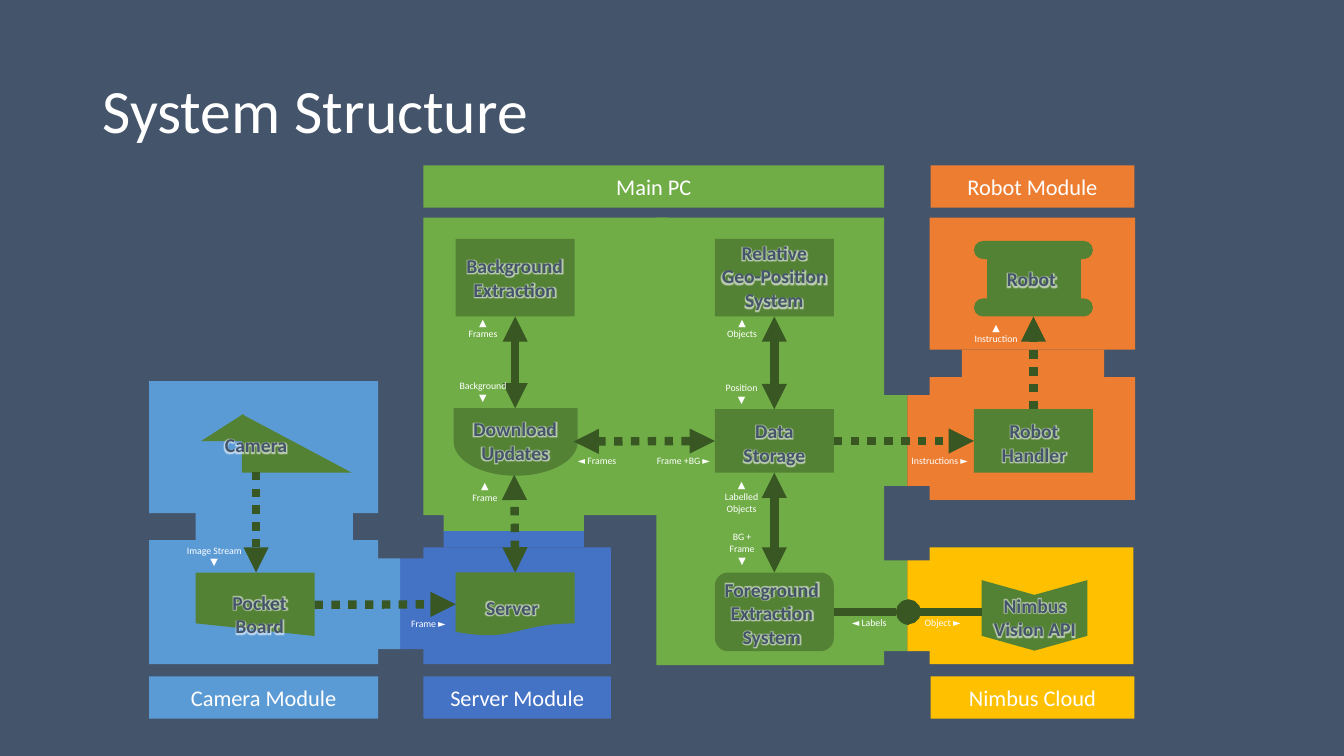
from dataclasses import dataclass
from typing import NamedTuple, Optional, Union

from lxml.etree import SubElement
from pptx import Presentation
from pptx.dml.color import RGBColor
from pptx.dml.fill import FillFormat
from pptx.enum.dml import MSO_LINE
from pptx.enum.shapes import MSO_CONNECTOR, MSO_SHAPE as Preset
from pptx.enum.text import MSO_ANCHOR as Anchor, PP_ALIGN as Align
from pptx.oxml.ns import qn
from pptx.shapes.autoshape import Shape
from pptx.text.text import TextFrame
from pptx.util import Inches, Pt

WHITE, SLATE = "FFFFFF", "44546A"
GREEN, ORANGE, YELLOW = "70AD47", "ED7D31", "FFC000"
ROYAL, SKY = "4472C4", "5B9BD5"
NODE_GREEN, FLOW_GREEN = "548235", "385723"
TOP, LEFT, BOTTOM, RIGHT = range(4)


class Box(NamedTuple):
    left: float
    top: float
    width: float
    height: float


class Point(NamedTuple):
    x: float
    y: float


class Side(NamedTuple):
    node: str
    site: int


@dataclass
class Banner:
    text: str
    left: float
    top: float
    width: float
    color: str


@dataclass
class Node:
    key: str
    box: Box
    preset: Preset = Preset.RECTANGLE
    rotation: int = 0
    adjustments: tuple[float, ...] = ()
    flipped: bool = False


@dataclass
class Flow:
    start: Union[Point, Side]
    end: Union[Point, Side]
    dotted: bool = False
    head: Optional[str] = None
    tail: Optional[str] = None


@dataclass
class Label:
    lines: tuple[str, ...]
    box: Box
    align: Align = Align.CENTER


BANNERS = [
    Banner("Main PC", 4.2, 1.64, 4.57, GREEN),
    Banner("Robot Module", 9.23, 1.64, 2.02, ORANGE),
    Banner("Nimbus Cloud", 9.23, 6.71, 2.02, YELLOW),
    Banner("Server Module", 4.2, 6.71, 1.86, ROYAL),
    Banner("Camera Module", 1.48, 6.71, 2.27, SKY),
]
MODULES = {
    GREEN: [Box(4.4, 5.1, 1.39, 0.18), Box(4.2, 2.16, 2.43, 2.95), Box(8.77, 5.56, 0.23, 0.9),
            Box(6.51, 2.16, 2.26, 4.44), Box(8.77, 3.92, 0.23, 0.9)],
    ROYAL: [Box(4.2, 5.43, 1.86, 1.16), Box(4.4, 5.27, 1.39, 0.16), Box(3.97, 5.54, 0.33, 0.9)],
    SKY: [Box(1.94, 5.09, 1.56, 0.14), Box(1.94, 5.23, 1.56, 0.13), Box(1.48, 3.78, 2.27, 1.31),
          Box(1.48, 5.36, 2.27, 1.23), Box(3.75, 5.54, 0.22, 0.9)],
    ORANGE: [Box(9.54, 3.47, 1.41, 0.14), Box(9.54, 3.61, 1.41, 0.13), Box(9, 3.92, 0.23, 0.9),
             Box(9.22, 2.16, 2.04, 1.31), Box(9.22, 3.74, 2.04, 1.22)],
    YELLOW: [Box(9, 5.56, 0.24, 0.9), Box(9.22, 5.43, 2.02, 1.16)],
}
NODES = [
    Node("background", Box(4.52, 2.37, 1.18, 0.77)),
    Node("position", Box(7.09, 2.37, 1.18, 0.77)),
    Node("download", Box(4.78, 3.77, 0.67, 1.23), Preset.FLOWCHART_DELAY, 90),
    Node("storage", Box(7.09, 4.06, 1.18, 0.63)),
    Node("handler", Box(9.66, 4.06, 1.18, 0.63)),
    Node("board", Box(1.94, 5.68, 1.18, 0.63), Preset.FLOWCHART_MANUAL_INPUT, 180, flipped=True),
    Node("server", Box(4.52, 5.68, 1.18, 0.63), Preset.FLOWCHART_DOCUMENT),
    Node("foreground", Box(7.09, 5.68, 1.18, 0.78), Preset.FLOWCHART_ALTERNATE_PROCESS),
    Node("vision", Box(9.91, 5.58, 0.7, 1.05), Preset.CHEVRON, 90, (0.21,)),
    Node("robot top", Box(9.66, 2.39, 1.18, 0.18), Preset.ROUNDED_RECTANGLE, 0, (0.5,)),
    Node("robot body", Box(9.79, 2.51, 0.93, 0.49)),
    Node("robot base", Box(9.66, 2.96, 1.18, 0.18), Preset.ROUNDED_RECTANGLE, 0, (0.5,)),
    Node("camera body", Box(2.4, 4.11, 1.09, 0.58), Preset.RIGHT_TRIANGLE),
    Node("camera lens", Box(2.07, 4.03, 0.27, 0.42), Preset.RIGHT_TRIANGLE, 270),
]
SOCKET = Node("socket", Box(8.89, 5.95, 0.25, 0.25), Preset.BLOCK_ARC, 270, (108, 0.09, 0.11))
ARROW = "triangle"
FLOWS = [
    Flow(Point(2.54, 4.68), Point(2.54, 5.68), True, tail=ARROW),
    Flow(Side("server", TOP), Point(5.1, 4.71), True, ARROW, ARROW),
    Flow(Point(5.69, 4.38), Side("storage", LEFT), True, ARROW, ARROW),
    Flow(Side("foreground", TOP), Side("storage", BOTTOM), False, ARROW, ARROW),
    Flow(Side("storage", RIGHT), Side("handler", LEFT), True, tail=ARROW),
    Flow(Point(9.01, 6.07), Point(9.74, 6.07), head="oval"),
    Flow(Point(8.89, 6.07), Side("foreground", RIGHT)),
    Flow(Side("storage", TOP), Side("position", BOTTOM), False, ARROW, ARROW),
    Flow(Side("handler", TOP), Side("robot base", BOTTOM), True, tail=ARROW),
    Flow(Point(3.12, 6), Side("server", LEFT), True, tail=ARROW),
    Flow(Point(5.11, 4.05), Side("background", BOTTOM), False, ARROW, ARROW),
]
FLOW_LABELS = [
    Label(("Image Stream", "▼"), Box(1.72, 5.35, 0.81, 0.34)),
    Label(("▲", "Frame"), Box(4.55, 4.71, 0.52, 0.34)),
    Label(("Frame +BG ►",), Box(6.35, 4.46, 0.79, 0.22), Align.RIGHT),
    Label(("◄ Labels",), Box(8.27, 6.07, 0.7, 0.22)),
    Label(("▲", "Labelled Objects"), Box(7.07, 4.7, 0.57, 0.45)),
    Label(("BG + Frame", "▼"), Box(7.1, 5.22, 0.52, 0.45)),
    Label(("Instructions ►",), Box(8.91, 4.46, 0.82, 0.22)),
    Label(("▲", "Objects"), Box(7.1, 3.09, 0.52, 0.34)),
    Label(("Object ►",), Box(9, 6.07, 0.7, 0.22)),
    Label(("Position", "▼"), Box(7.06, 3.74, 0.59, 0.34)),
    Label(("▲", "Instruction"), Box(9.53, 3.14, 0.7, 0.34)),
    Label(("Frame ►",), Box(3.95, 6.08, 0.57, 0.34), Align.RIGHT),
    Label(("▲", "Frames"), Box(4.53, 3.09, 0.52, 0.34)),
    Label(("Background", "▼"), Box(4.45, 3.72, 0.68, 0.34)),
    Label(("◄ Frames",), Box(5.59, 4.46, 0.62, 0.22), Align.RIGHT),
]
NODE_LABELS = [
    Label(("Download", "Updates"), Box(4.57, 4.09, 1.08, 0.57)),
    Label(("Pocket Board",), Box(1.96, 5.81, 1.23, 0.34)),
    Label(("Data", "Storage"), Box(7.27, 4.11, 0.82, 0.57)),
    Label(("Foreground", "Extraction", "System"), Box(7.06, 5.68, 1.19, 0.81)),
    Label(("Nimbus", "Vision API"), Box(9.75, 5.84, 1.03, 0.57)),
    Label(("Robot", "Handler"), Box(9.83, 4.11, 0.85, 0.57)),
    Label(("Robot",), Box(9.86, 2.6, 0.74, 0.34)),
    Label(("Server",), Box(4.72, 5.86, 0.72, 0.34)),
    Label(("Background", "Extraction"), Box(4.5, 2.47, 1.21, 0.57)),
    Label(("Relative", "Geo-Position", "System"), Box(7.03, 2.34, 1.3, 0.81)),
    Label(("Camera",), Box(2.13, 4.25, 0.82, 0.34)),
]

deck = Presentation()
deck.slide_width, deck.slide_height = Inches(13.33), Inches(7.5)
slide = deck.slides.add_slide(deck.slide_layouts[6])


def paint(fill: FillFormat, color: str) -> None:
    fill.solid()
    fill.fore_color.rgb = RGBColor.from_string(color)


def write(frame: TextFrame, lines: tuple[str, ...], size: int, color: str, align: Align,
          bold: bool = False) -> None:
    frame.text = "\n".join(lines)
    for paragraph in frame.paragraphs:
        paragraph.alignment = align
        font = paragraph.font
        font.name, font.size, font.bold = "Calibri", Pt(size), bold
        paint(font.fill, color)


def add_block(box: Box, color: str, preset: Preset = Preset.RECTANGLE) -> Shape:
    block = slide.shapes.add_shape(preset, *map(Inches, box))
    block.shadow.inherit = False
    paint(block.fill, color)
    block.line.fill.background()
    return block


def add_node(node: Node, color: str) -> Shape:
    block = add_block(node.box, color, node.preset)
    block.rotation = node.rotation
    for index, value in enumerate(node.adjustments):
        block.adjustments[index] = value
    if node.flipped:
        block._element.spPr.find(qn("a:xfrm")).set("flipH", "1")
    return block


def add_label(label: Label, size: int, color: str, wrap: bool = True, bold: bool = False) -> TextFrame:
    frame = slide.shapes.add_textbox(*map(Inches, label.box)).text_frame
    frame.word_wrap = wrap
    write(frame, label.lines, size, color, label.align, bold)
    return frame


def add_glow(frame: TextFrame) -> None:
    for paragraph in frame.paragraphs:
        effects = SubElement(paragraph.runs[0]._r.get_or_add_rPr(), qn("a:effectLst"))
        glow = SubElement(effects, qn("a:glow"), rad=str(Pt(4)))
        halo = SubElement(glow, qn("a:srgbClr"), val=WHITE)
        SubElement(halo, qn("a:alpha"), val="60000")


def add_flow(flow: Flow, nodes: dict[str, Shape]) -> None:
    ends = [end if isinstance(end, Point) else Point(0, 0) for end in (flow.start, flow.end)]
    arrow = slide.shapes.add_connector(MSO_CONNECTOR.STRAIGHT, *map(Inches, ends[0] + ends[1]))
    for end, join in ((flow.start, arrow.begin_connect), (flow.end, arrow.end_connect)):
        if isinstance(end, Side):
            join(nodes[end.node], end.site)
    paint(arrow.line.fill, FLOW_GREEN)
    arrow.line.width = Pt(6)
    if flow.dotted:
        arrow.line.dash_style = MSO_LINE.ROUND_DOT
    properties = arrow._element.spPr
    for tag, kind in (("a:headEnd", flow.head), ("a:tailEnd", flow.tail)):
        if kind:
            SubElement(properties.find(qn("a:ln")), qn(tag), type=kind)
    SubElement(properties, qn("a:effectLst"))


paint(slide.background.fill, SLATE)
title = add_label(Label(("System Structure",), Box(0.92, 0.4, 11.5, 1.45), Align.LEFT), 44, WHITE)
title.vertical_anchor = Anchor.MIDDLE
title.paragraphs[0].line_spacing = 0.9
for banner in BANNERS:
    heading = add_block(Box(banner.left, banner.top, banner.width, 0.42), banner.color).text_frame
    heading.vertical_anchor = Anchor.MIDDLE
    write(heading, (banner.text,), 16, WHITE, Align.CENTER)
for module_color, areas in MODULES.items():
    for area in areas:
        add_block(area, module_color)
node_shapes = {node.key: add_node(node, NODE_GREEN) for node in NODES}
for flow in FLOWS:
    add_flow(flow, node_shapes)
add_node(SOCKET, FLOW_GREEN)
for label in FLOW_LABELS:
    add_label(label, 7, WHITE)
for label in NODE_LABELS:
    add_glow(add_label(label, 14, SLATE, wrap=False, bold=True))
deck.save("out.pptx")
